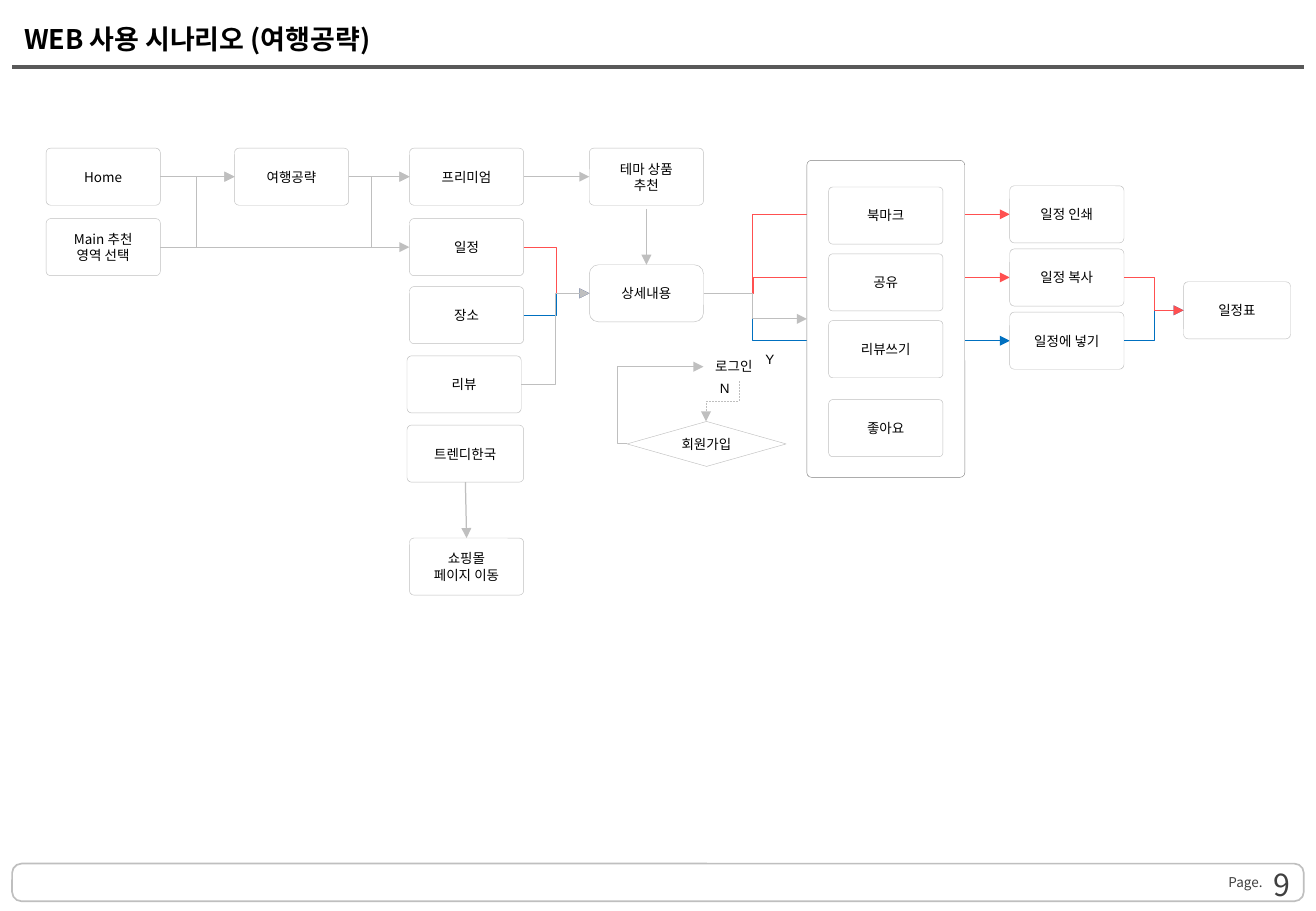
from dataclasses import dataclass

from lxml.etree import SubElement
from pptx import Presentation
from pptx.dml.color import RGBColor
from pptx.enum.dml import MSO_LINE
from pptx.enum.shapes import MSO_CONNECTOR, MSO_SHAPE
from pptx.enum.text import MSO_ANCHOR, PP_ALIGN
from pptx.oxml.ns import qn
from pptx.util import Emu, Pt


@dataclass(frozen=True)
class Theme:
    font: str = "Noto Sans CJK KR"
    label_font: str = "Arial"
    ink: str = "000000"
    footer_ink: str = "404040"
    paper: str = "FFFFFF"
    gray: str = "BFBFBF"
    panel_line: str = "808080"
    rule: str = "595959"
    red: str = "FF5050"
    blue: str = "0070C0"
    title_size: int = 16
    number_size: int = 18
    body_size: int = 8
    thin: float = 0.25
    flow: float = 0.75
    frame: float = 1
    rule_width: float = 2.25


THEME = Theme()
PX = 9144  # 100 px to the inch
PAGE_SIZE = (1083, 750)
BOX_HEIGHT = 47
TOP, LEFT, BOTTOM, RIGHT = range(4)

TITLE = ("WEB 사용 시나리오 (여행공략)", (10, 8, 1063, 47))
FOOTER = (10, 711, 1063, 31)
PAGE_LABEL = ("Page.", (1011, 720, 46, 13))
PAGE_NUMBER = ("9", (819, 720, 253, 16))
PANEL = (664, 132, 130, 261)
DECISION = ("회원가입", (516, 347, 131, 37))
LABELS = [
    ("로그인", (575, 290, 58, 24)),
    ("N", (582, 308, 29, 24)),
    ("Y", (620, 284, 27, 24)),
]

# left, width, corner, [(text, top)]
COLUMNS = [
    (38, 94, 0.08, [("Home", 122), ("Main 추천\n영역 선택", 180)]),
    (193, 94, 0.08, [("여행공략", 122)]),
    (337, 94, 0.08, [("프리미엄", 122), ("일정", 180), ("장소", 236),
                     ("쇼핑몰\n페이지 이동", 443)]),
    (335, 94, 0.08, [("리뷰", 293)]),
    (335, 96, 0.08, [("트렌디한국", 350)]),
    (485, 94, 0.08, [("테마 상품\n추천", 122)]),
    (485, 94, 0.16, [("상세내용", 218)]),
    (682, 94, 0.07, [("북마크", 154), ("공유", 209), ("리뷰쓰기", 264), ("좋아요", 329)]),
    (831, 94, 0.08, [("일정 인쇄", 153), ("일정 복사", 205), ("일정에 넣기", 257)]),
    (974, 88, 0.08, [("일정표", 232)]),
]

# from box, to box, colour, x of the bend
PANEL_EXITS = [
    ("상세내용", "일정에 넣기", THEME.blue, 619),
    ("상세내용", "일정 복사", THEME.red, 620),
    ("상세내용", "일정 인쇄", THEME.red, 619),
]
BENT_FLOWS = [
    ("일정", "상세내용", THEME.red, 458),
    ("장소", "상세내용", THEME.blue, 458),
    ("리뷰", "상세내용", THEME.gray, 457),
    ("Main 추천\n영역 선택", "여행공략", THEME.gray, 162),
    ("Main 추천\n영역 선택", "프리미엄", THEME.gray, 306),
    ("일정에 넣기", "일정표", THEME.blue, 950),
    ("일정 복사", "일정표", THEME.red, 950),
]
STRAIGHT_FLOWS = [
    ("Home", RIGHT, "여행공략", LEFT),
    ("여행공략", RIGHT, "프리미엄", LEFT),
    ("프리미엄", RIGHT, "테마 상품\n추천", LEFT),
    ("Main 추천\n영역 선택", RIGHT, "일정", LEFT),
    ("트렌디한국", BOTTOM, "쇼핑몰\n페이지 이동", TOP),
]
DETAIL_ARROW = ((532, 172), (532, 218))
LOGIN_ARROW = ((516, 365), (579, 302))
LOGIN_BEND = 508
SIGNUP_ARROW = ((578, 317), (611, 344))  # before its quarter turn
HEADER_RULE = ((10, 55), (1073, 55))

FRAMES = {text: (left, top, width, BOX_HEIGHT)
          for left, width, _, rows in COLUMNS for text, top in rows}


def emu(lengths):
    return [Emu(round(length * PX)) for length in lengths]


def side_middle(frame, side):
    left, top, width, height = frame
    return (left + (side == RIGHT) * width, top + height / 2)


def write(box, text, size=THEME.body_size, font=THEME.font, color=THEME.ink,
          align=PP_ALIGN.CENTER, anchor=MSO_ANCHOR.MIDDLE, bold=False, wrap=True):
    frame = box.text_frame
    frame.word_wrap = wrap
    frame.vertical_anchor = anchor
    for index, line in enumerate(text.split("\n")):
        para = frame.add_paragraph() if index else frame.paragraphs[0]
        para.alignment = align
        span = para.add_run()
        span.text = line
        span.font.size = Pt(size)
        span.font.bold = bold
        span.font.color.rgb = RGBColor.from_string(color)
        span.font.name = font
        east_asian = SubElement(span.font._element, qn("a:ea"))
        east_asian.set("typeface", THEME.font)


def add_text(page, text, frame, **style):
    box = page.shapes.add_textbox(*emu(frame))
    write(box, text, **style)
    return box


def add_box(page, kind, frame, corner=None, line=THEME.gray, width=THEME.thin, filled=True):
    box = page.shapes.add_shape(kind, *emu(frame))
    box.shadow.inherit = False
    if corner is not None:
        box.adjustments[0] = corner
    if filled:
        box.fill.solid()
        box.fill.fore_color.rgb = RGBColor.from_string(THEME.paper)
    else:
        box.fill.background()
    box.line.color.rgb = RGBColor.from_string(line)
    box.line.width = Pt(width)
    return box


def add_line(page, start, end, color=THEME.gray, width=THEME.flow, bend=None, arrow=True):
    """Draw a line; bend is the x where an elbow turns."""
    kind = MSO_CONNECTOR.STRAIGHT if bend is None else MSO_CONNECTOR.ELBOW
    line = page.shapes.add_connector(kind, *emu(start + end))
    line.line.color.rgb = RGBColor.from_string(color)
    line.line.width = Pt(width)
    properties = line._element.spPr
    SubElement(properties, qn("a:effectLst"))
    if arrow:
        SubElement(properties.find(qn("a:ln")), qn("a:tailEnd")).set("type", "triangle")
    if bend is not None:
        share = round((bend - start[0]) / (end[0] - start[0]) * 100000)
        geometry = properties.find(qn("a:prstGeom"))
        guides = geometry.find(qn("a:avLst"))
        if guides is None:
            guides = SubElement(geometry, qn("a:avLst"))
        guide = SubElement(guides, qn("a:gd"))
        guide.set("name", "adj1")
        guide.set("fmla", f"val {share}")
    return line


def add_bent_flows(page, flows):
    for source, target, color, bend in flows:
        add_line(page, side_middle(FRAMES[source], RIGHT),
                 side_middle(FRAMES[target], LEFT), color, bend=bend)


def add_page_frame(page):
    add_box(page, MSO_SHAPE.ROUNDED_RECTANGLE, FOOTER, 0.25, width=THEME.frame, filled=False)
    label = add_text(page, *PAGE_LABEL, color=THEME.footer_ink,
                     align=PP_ALIGN.LEFT, wrap=False)
    frame = label.text_frame
    frame.margin_left = frame.margin_right = frame.margin_top = frame.margin_bottom = 0
    add_line(page, *HEADER_RULE, THEME.rule, THEME.rule_width, arrow=False)
    add_text(page, *PAGE_NUMBER, size=THEME.number_size, color=THEME.footer_ink,
             align=PP_ALIGN.RIGHT)
    add_text(page, *TITLE, size=THEME.title_size, align=PP_ALIGN.LEFT, bold=True)


def add_login(page):
    add_line(page, *LOGIN_ARROW, bend=LOGIN_BEND)
    decision, frame = DECISION
    write(add_box(page, MSO_SHAPE.FLOWCHART_DECISION, frame), decision)
    for text, place in LABELS:
        add_text(page, text, place, font=THEME.label_font, anchor=MSO_ANCHOR.TOP, wrap=False)
    (left, _), (right, _) = SIGNUP_ARROW
    signup = add_line(page, *SIGNUP_ARROW, width=THEME.thin, bend=(left + right) / 2)
    signup.line.dash_style = MSO_LINE.DASH
    signup._element.spPr.find(qn("a:xfrm")).set("rot", "5400000")


def main():
    deck = Presentation()
    deck.slide_width, deck.slide_height = emu(PAGE_SIZE)
    page = deck.slides.add_slide(deck.slide_layouts[6])
    add_page_frame(page)
    add_bent_flows(page, PANEL_EXITS)
    add_box(page, MSO_SHAPE.ROUNDED_RECTANGLE, PANEL, 0.03, THEME.panel_line)
    add_line(page, side_middle(FRAMES["상세내용"], RIGHT), side_middle(PANEL, LEFT), bend=619)
    add_login(page)
    boxes = {}
    for _, _, corner, rows in COLUMNS:
        for text, _ in rows:
            boxes[text] = add_box(page, MSO_SHAPE.ROUNDED_RECTANGLE, FRAMES[text], corner)
            write(boxes[text], text)
    for source, exit_side, target, entry_side in STRAIGHT_FLOWS:
        arrow = add_line(page, (0, 0), (0, 0))
        arrow.begin_connect(boxes[source], exit_side)
        arrow.end_connect(boxes[target], entry_side)
    add_line(page, *DETAIL_ARROW).end_connect(boxes["상세내용"], TOP)
    add_bent_flows(page, BENT_FLOWS)
    deck.save("out.pptx")


if __name__ == "__main__":
    main()
